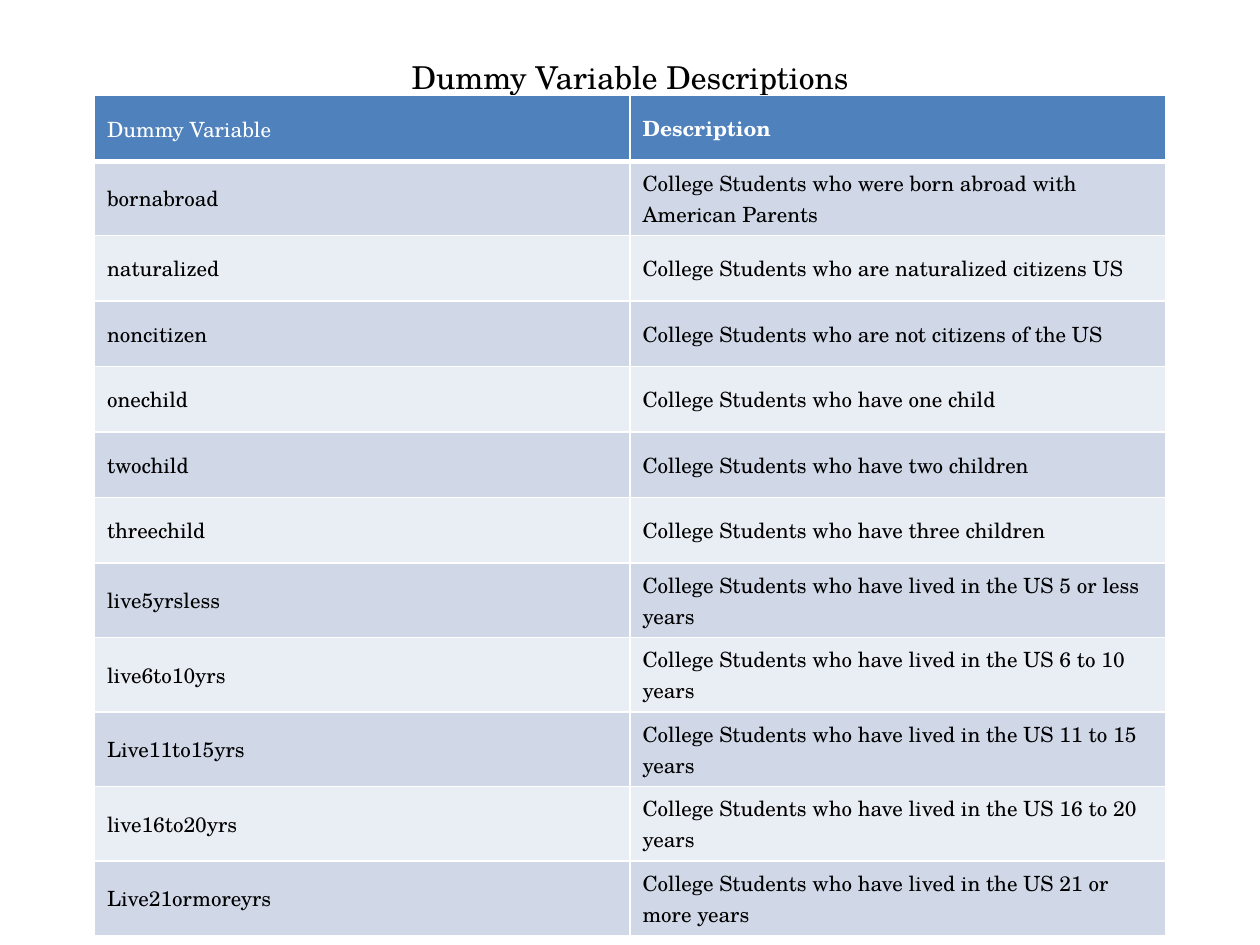
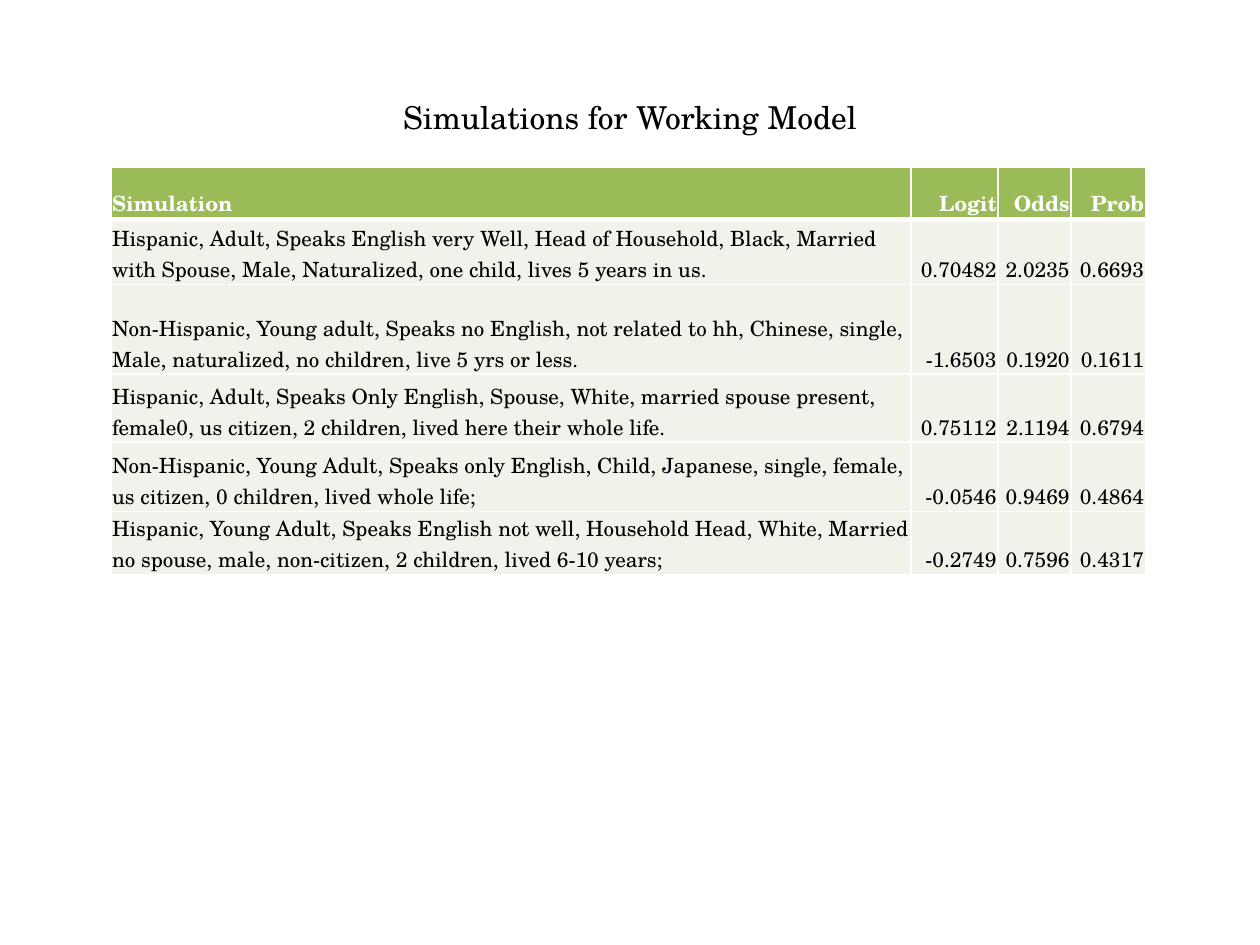
from lxml.etree import SubElement
from pptx import Presentation
from pptx.dml.color import RGBColor
from pptx.enum.text import MSO_ANCHOR, PP_ALIGN
from pptx.oxml.ns import qn
from pptx.util import Inches, Pt

FONT = "TeX Gyre Schola"
BLACK = RGBColor(0x00, 0x00, 0x00)
WHITE = RGBColor(0xFF, 0xFF, 0xFF)
BLUE = RGBColor(0x4F, 0x81, 0xBD)
BLUE_BAND = RGBColor(0xD0, 0xD8, 0xE8)
BLUE_PALE = RGBColor(0xE9, 0xED, 0xF4)
GREEN = RGBColor(0x9B, 0xBB, 0x59)
GREEN_PALE = RGBColor(0xEF, 0xF3, 0xEA)

VARIABLES = [
    ("Dummy Variable", "Description"),
    ("bornabroad", "College Students who were born abroad with American Parents"),
    ("naturalized", "College Students who are naturalized citizens US"),
    ("noncitizen", "College Students who are not citizens of the US"),
    ("onechild", "College Students who have one child"),
    ("twochild", "College Students who have two children"),
    ("threechild", "College Students who have three children"),
    ("live5yrsless", "College Students who have lived in the US 5 or less years"),
    ("live6to10yrs", "College Students who have lived in the US 6 to 10 years"),
    ("Live11to15yrs", "College Students who have lived in the US 11 to 15 years"),
    ("live16to20yrs", "College Students who have lived in the US 16 to 20 years"),
    ("Live21ormoreyrs", "College Students who have lived in the US 21 or more years"),
]

SIMULATIONS = [
    ("Simulation", "Logit", "Odds", "Prob"),
    ("Hispanic, Adult, Speaks English very Well, Head of Household, Black, Married "
     "with Spouse, Male, Naturalized, one child, lives 5 years in us.",
     "0.70482", "2.0235", "0.6693"),
    ("Non-Hispanic, Young adult, Speaks no English, not related to hh, Chinese, single, "
     "Male, naturalized, no children, live 5 yrs or less.",
     "-1.6503", "0.1920", "0.1611"),
    ("Hispanic, Adult, Speaks Only English, Spouse, White, married spouse present, "
     "female0, us citizen, 2 children, lived here their whole life.",
     "0.75112", "2.1194", "0.6794"),
    ("Non-Hispanic, Young Adult, Speaks only English, Child, Japanese, single, female, "
     "us citizen, 0 children, lived whole life;",
     "-0.0546", "0.9469", "0.4864"),
    ("Hispanic, Young Adult, Speaks English not well, Household Head, White, Married "
     "no spouse, male, non-citizen, 2 children, lived 6-10 years;",
     "-0.2749", "0.7596", "0.4317"),
]

SLIDES = [
    dict(title="Dummy Variable Descriptions", title_top=0.19, title_height=0.84,
         data=VARIABLES, left=0.75, top=0.76,
         cols=[4.25] * 2, rows=[0.52] * len(VARIABLES),
         header=BLUE, bands=(BLUE_BAND, BLUE_PALE), bold_from=1,
         anchor=MSO_ANCHOR.MIDDLE, margins=(0.1, 0.05, 0.1, 0.05),
         number_align=PP_ALIGN.LEFT),
    dict(title="Simulations for Working Model", title_top=0.3, title_height=1.25,
         data=SIMULATIONS, left=0.88, top=1.33,
         cols=[6.35, 0.69, 0.58, 0.59], rows=[0.41, 0.52, 0.71, 0.54, 0.55, 0.48],
         header=GREEN, bands=(GREEN_PALE, GREEN_PALE), bold_from=0,
         anchor=MSO_ANCHOR.BOTTOM, margins=(0.01, 0.01, 0.01, 0),
         number_align=PP_ALIGN.RIGHT),
]


def add_run(p, text, size, color, bold=False):
    r = p.add_run()
    r.text = text
    r.font.name = FONT
    r.font.size = Pt(size)
    r.font.color.rgb = color
    r.font.bold = bold


def set_borders(cell, row):
    widths = dict(lnL=1, lnR=1, lnT=3 if row == 1 else 1, lnB=3 if row == 0 else 1)
    tcPr = cell._tc.get_or_add_tcPr()
    for side, width in widths.items():
        ln = SubElement(tcPr, qn(f"a:{side}"), w=str(Pt(width)))
        SubElement(SubElement(ln, qn("a:solidFill")), qn("a:srgbClr"), val=str(WHITE))


def add_title(s, page):
    sp = s.shapes.title
    sp.left, sp.top = Inches(0.5), Inches(page["title_top"])
    sp.width, sp.height = Inches(9), Inches(page["title_height"])
    tf = sp.text_frame
    tf.vertical_anchor = MSO_ANCHOR.MIDDLE
    p = tf.paragraphs[0]
    p.alignment = PP_ALIGN.CENTER
    add_run(p, page["title"], 18, BLACK)


def fill_cell(cell, text, row, col, page):
    is_header = row == 0
    set_borders(cell, row)
    cell.fill.solid()
    cell.fill.fore_color.rgb = page["header"] if is_header else page["bands"][(row - 1) % 2]
    cell.vertical_anchor = page["anchor"]
    (cell.margin_left, cell.margin_top,
     cell.margin_right, cell.margin_bottom) = map(Inches, page["margins"])
    p = cell.text_frame.paragraphs[0]
    p.alignment = page["number_align"] if col else PP_ALIGN.LEFT
    add_run(p, text, 12, WHITE if is_header else BLACK,
            is_header and col >= page["bold_from"])


def add_data_table(s, page):
    cols, rows = page["cols"], page["rows"]
    table = s.shapes.add_table(len(rows), len(cols), Inches(page["left"]), Inches(page["top"]),
                               Inches(sum(cols)), Inches(sum(rows))).table
    for column, width in zip(table.columns, cols):
        column.width = Inches(width)
    for i, (height, texts) in enumerate(zip(rows, page["data"])):
        table.rows[i].height = Inches(height)
        for j, text in enumerate(texts):
            fill_cell(table.cell(i, j), text, i, j, page)


def main():
    prs = Presentation()
    prs.slide_width, prs.slide_height = Inches(10), Inches(7.5)
    for page in SLIDES:
        s = prs.slides.add_slide(prs.slide_layouts[5])
        add_title(s, page)
        add_data_table(s, page)
    prs.save("out.pptx")


if __name__ == "__main__":
    main()
